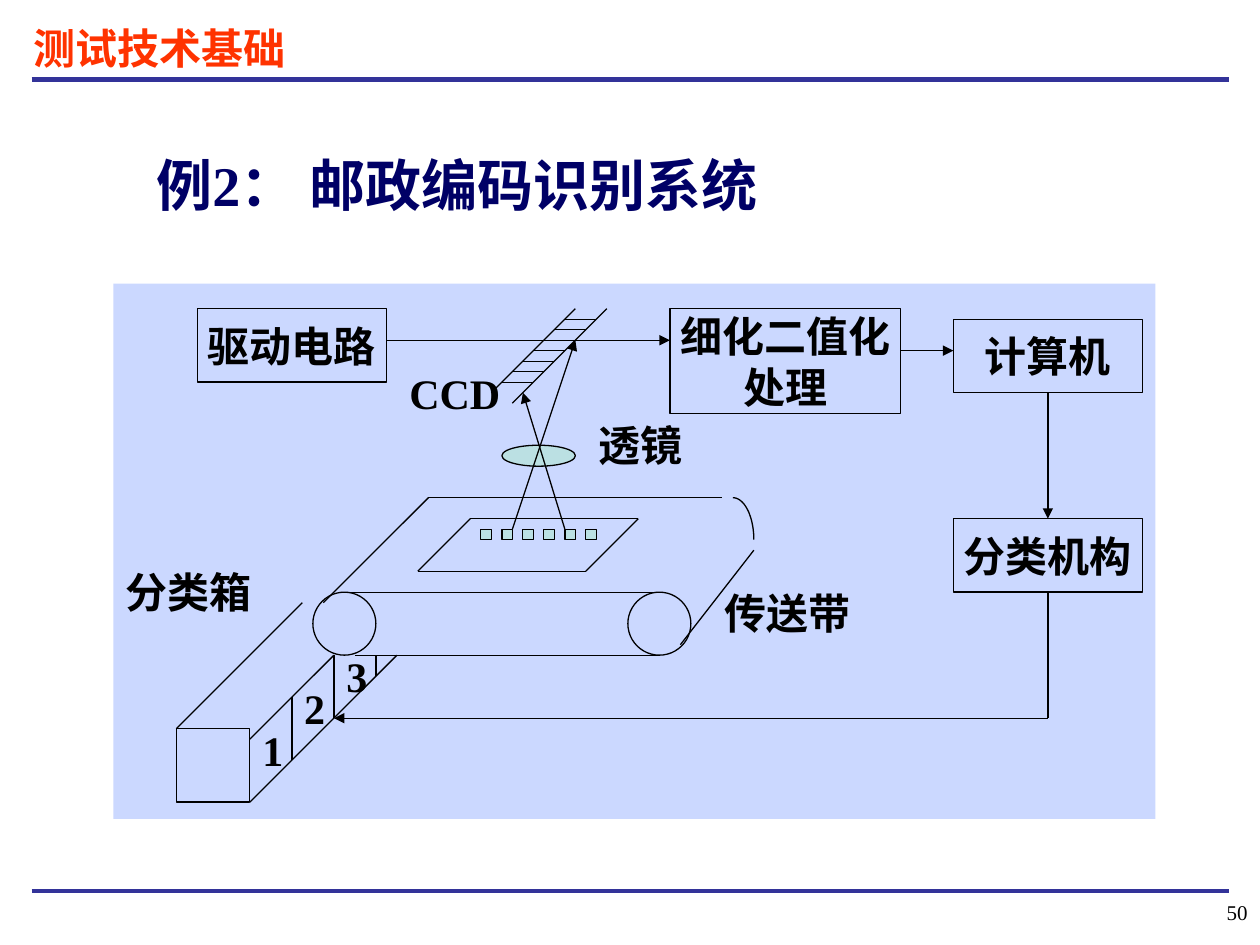
from dataclasses import dataclass
from math import cos, pi, sin
from typing import NamedTuple, Optional

from pptx import Presentation
from pptx.dml.color import RGBColor
from pptx.enum.shapes import MSO_CONNECTOR, MSO_SHAPE
from pptx.enum.text import MSO_ANCHOR, MSO_AUTO_SIZE, PP_ALIGN
from pptx.oxml.ns import qn
from pptx.util import Inches, Pt
from lxml.etree import SubElement

BLACK = RGBColor(0x00, 0x00, 0x00)
NAVY = RGBColor(0x00, 0x00, 0x66)
RULE = RGBColor(0x33, 0x33, 0x99)
RED = RGBColor(0xFF, 0x33, 0x00)
BLUE = RGBColor(0x33, 0x66, 0xFF)
MINT = RGBColor(0xBB, 0xE0, 0xE3)
WIDTH, HEIGHT = Inches(10), Inches(7.5)
CELL = Inches(1) / 12
LEFT, TOP = Inches(0.9), Inches(2.45)


def col(n: float) -> int:
    return round(LEFT + n * CELL)


def row(n: float) -> int:
    return round(TOP + n * CELL)


class Area(NamedTuple):
    x: float
    y: float
    w: float
    h: float

    def grid(self) -> tuple:
        return col(self.x), row(self.y), round(self.w * CELL), round(self.h * CELL)

    def share(self) -> tuple:
        return tuple(round(v * s) for v, s in zip(self, (WIDTH, HEIGHT) * 2))


@dataclass
class Box:
    area: Area
    text: str = ""
    fill: Optional[RGBColor] = None
    kind: MSO_SHAPE = MSO_SHAPE.RECTANGLE


class Label(NamedTuple):
    text: str
    x: float
    y: float
    w: float


class Line(NamedTuple):
    x1: float
    y1: float
    x2: float
    y2: float
    arrow: bool = False


def style(frame, text: str, size: int, color: RGBColor, bold: bool = True,
          align=PP_ALIGN.LEFT, anchor=MSO_ANCHOR.TOP, wrap: bool = True) -> None:
    form = {"text": text, "word_wrap": wrap, "auto_size": MSO_AUTO_SIZE.NONE,
            "vertical_anchor": anchor}
    for name, value in form.items():
        setattr(frame, name, value)
    for para in frame.paragraphs:
        para.alignment = align
        para.space_before = Pt(0)
        for run in para.runs:
            font = {"name": "Times New Roman", "size": Pt(size), "bold": bold}
            for name, value in font.items():
                setattr(run.font, name, value)
            run.font.color.rgb = color


def pen(line, color: RGBColor = BLACK, width: float = 0.75) -> None:
    line.color.rgb = color
    line.width = Pt(width)


def note(slide, spot: tuple, text: str, size: int, color: RGBColor, **form) -> None:
    style(slide.shapes.add_textbox(*spot).text_frame, text, size, color, **form)


def block(slide, box: Box):
    shape = slide.shapes.add_shape(box.kind, *box.area.grid())
    shape.shadow.inherit = False
    if box.fill is None:
        shape.fill.background()
    else:
        shape.fill.solid()
        shape.fill.fore_color.rgb = box.fill
    pen(shape.line)
    if box.text:
        style(shape.text_frame, box.text, 24, BLACK, align=PP_ALIGN.CENTER,
              anchor=MSO_ANCHOR.MIDDLE, wrap=False)
    return shape


def link(slide, ends: tuple, color: RGBColor = BLACK, width: float = 0.75,
         arrow: bool = False):
    wire = slide.shapes.add_connector(MSO_CONNECTOR.STRAIGHT, *ends)
    pen(wire.line, color, width)
    if arrow:
        SubElement(wire.line._get_or_add_ln(), qn("a:tailEnd"), type="triangle")
    SubElement(wire._element.spPr, qn("a:effectLst"))
    return wire


def draw(slide, line: Line):
    ends = col(line.x1), row(line.y1), col(line.x2), row(line.y2)
    return link(slide, ends, arrow=line.arrow)


def panel(slide) -> None:
    shape = slide.shapes.add_shape(MSO_SHAPE.RECTANGLE, LEFT, Inches(2.25),
                                   Inches(8.27), Inches(4.25))
    shape.shadow.inherit = False
    shape.fill.solid()
    shape.fill.fore_color.rgb = BLUE
    tint = shape._element.spPr.find(qn("a:solidFill"))[0]
    SubElement(tint, qn("a:alpha"), val="25000")
    shape.line.fill.background()


def bend(slide) -> None:
    turns = [pi / 2 * n / 24 for n in range(25)]
    dots = [(col(59 + 2 * sin(t)), row(22 - 4 * cos(t))) for t in turns]
    path = slide.shapes.build_freeform(*dots[0])
    path.add_line_segments(dots[1:], close=False)
    curve = path.convert_to_shape()
    curve.shadow.inherit = False
    curve.fill.background()
    pen(curve.line)


OVAL = MSO_SHAPE.OVAL
DRIVE = Box(Area(8, 0, 18, 7), "驱动电路")
SORTER = Box(Area(80, 20, 18, 7), "分类机构")
BRAIN = Box(Area(80, 1, 18, 7), "计算机")
BOXES = [
    DRIVE,
    Box(Area(53, 0, 22, 10), "细化二值化\n处理"),
    *[Box(Area(x, 27, 6, 6), kind=OVAL) for x in (19, 49)],
    *[Box(Area(35 + 2 * n, 21, 1, 1), fill=MINT) for n in range(6)],
    Box(Area(37, 13, 7, 2), fill=MINT, kind=OVAL),
    Box(Area(6, 40, 7, 7)),
]
BELT = [Line(22, 27, 52, 27), Line(23, 33, 52, 33), Line(20, 28, 30, 18),
        Line(54, 32, 61, 23), Line(30, 18, 58, 18)]
LETTER = [Line(34, 20, 50, 20), Line(34, 20, 29, 25),
          Line(29, 25, 45, 25), Line(45, 25, 50, 20)]
SENSOR = [Line(36, 8, 44, 0), Line(38, 9, 47, 0),
          *[Line(43 - n, 1 + n, 46 - n, 1 + n) for n in range(7)]]
BINS = [Line(18, 28, 6, 40), Line(13, 41, 21, 33), Line(13, 47, 27, 33),
        Line(17, 37, 17, 43), Line(21, 33, 21, 39), Line(25, 33, 25, 35)]
FLOW = [Line(26, 3, 41, 3), Line(38, 21, 44, 3, True), Line(43, 21, 39, 8, True),
        Line(44, 3, 53, 3, True), Line(75, 4, 80, 4, True),
        Line(89, 39, 21, 39, True)]
LABELS = [Label("传送带", 57, 26, 16), Label("CCD", 27, 5, 16),
          Label("透镜", 45, 10, 16), Label("分类箱", 0, 24, 16),
          Label("1", 13, 39, 5), Label("2", 17, 35, 5), Label("3", 21, 32, 4)]


def main() -> None:
    deck = Presentation()
    deck.slide_width, deck.slide_height = WIDTH, HEIGHT
    slide = deck.slides.add_slide(deck.slide_layouts[5])
    title = slide.shapes.title
    spot = Area(0.114, 0.153, 0.633, 0.085).share()
    for name, value in zip(("left", "top", "width", "height"), spot):
        setattr(title, name, value)
    style(title.text_frame, "例2： 邮政编码识别系统", 32, NAVY)

    for y, width in ((0.084, 3), (0.943, 2.25)):
        ends = Area(0.025, y, 0.975, y).share()
        link(slide, ends, RULE, width)
    note(slide, Area(0.017, 0.017, 0.292, 0.067).share(), "测试技术基础", 24, RED)
    note(slide, Area(0.9, 0.932, 0.1, 0.067).share(), "50", 12, BLACK, bold=False,
         align=PP_ALIGN.RIGHT, anchor=MSO_ANCHOR.MIDDLE)

    panel(slide)
    for box in BOXES:
        block(slide, box)
    brain, sorter = block(slide, BRAIN), block(slide, SORTER)
    bend(slide)
    for line in BELT + LETTER + SENSOR + BINS + FLOW:
        draw(slide, line)
    down = draw(slide, Line(89, 8, 89, 20, True))
    down.begin_connect(brain, 2)
    down.end_connect(sorter, 0)
    draw(slide, Line(89, 27, 89, 39)).begin_connect(sorter, 2)
    for label in LABELS:
        area = Area(label.x, label.y, label.w, 6)
        note(slide, area.grid(), label.text, 24, BLACK)
    deck.save("out.pptx")


if __name__ == "__main__":
    main()
